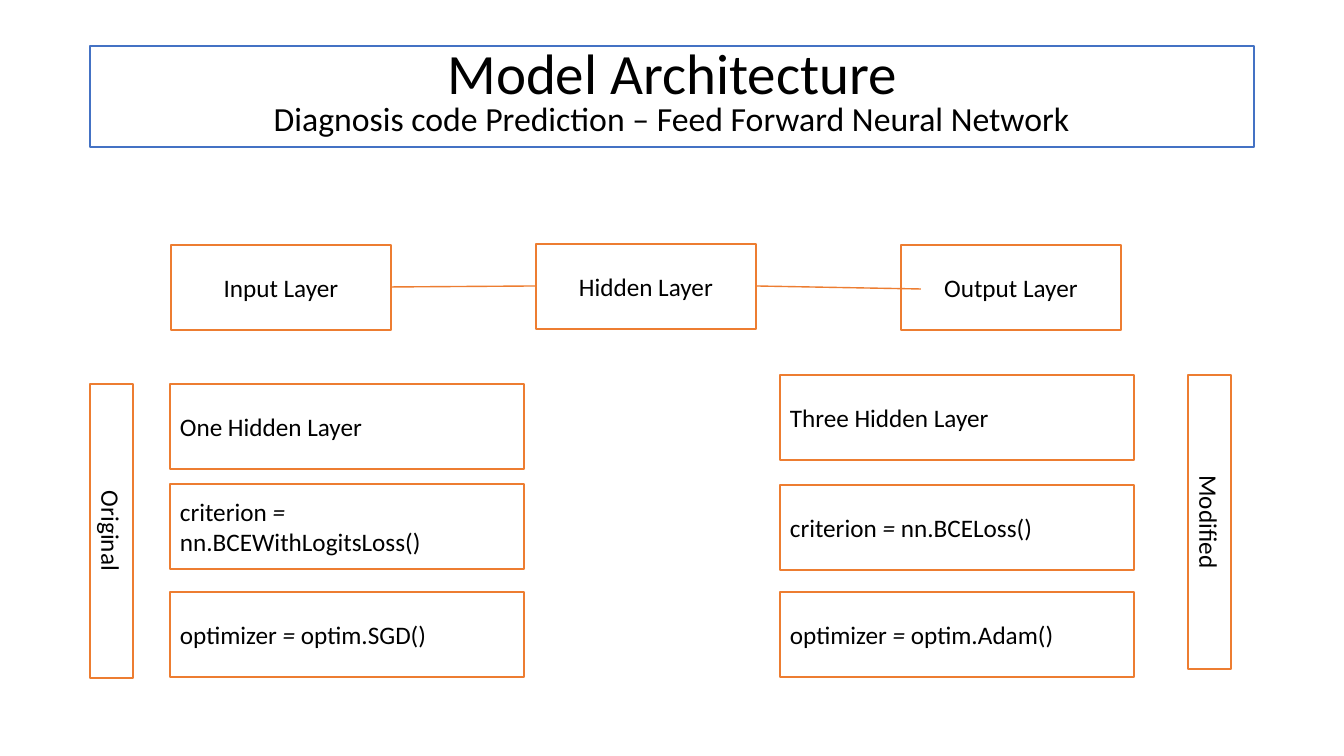
from lxml import etree
from pptx import Presentation
from pptx.dml.color import RGBColor
from pptx.enum.shapes import MSO_CONNECTOR, MSO_SHAPE
from pptx.enum.text import MSO_ANCHOR, PP_ALIGN
from pptx.oxml.ns import qn
from pptx.util import Pt

PX = 914400 / 100.8
BLUE, ORANGE = "4472C4", "ED7D31"


def color(value):
    return RGBColor.from_string(value)


def add_box(bounds, paragraphs, align=PP_ALIGN.CENTER, line=ORANGE,
            anchor=MSO_ANCHOR.MIDDLE, spacing=None):
    box = slide.shapes.add_shape(MSO_SHAPE.RECTANGLE, *[round(v * PX) for v in bounds])
    box.shadow.inherit = False
    box.fill.solid()
    box.fill.fore_color.rgb = color("FFFFFF")
    box.line.color.rgb = color(line)
    box.line.width = Pt(1)
    frame = box.text_frame
    frame.word_wrap = True
    frame.vertical_anchor = anchor
    for i, (size, texts) in enumerate(paragraphs):
        paragraph = frame.add_paragraph() if i else frame.paragraphs[0]
        paragraph.alignment = align
        paragraph.line_spacing = spacing
        for text in texts:
            run = paragraph.add_run()
            run.text = text
            run.font.name = "Calibri"
            run.font.size = Pt(size)
            run.font.italic = text == "= "
            run.font.color.rgb = color("000000")
    return box


prs = Presentation()
prs.slide_width, prs.slide_height = round(1344 * PX), round(756 * PX)
slide = prs.slides.add_slide(prs.slide_layouts[6])

add_box((90, 46, 1164, 101),
        [(40.7, ["Model Architecture"]),
         (24.1, ["Diagnosis code Prediction – Feed Forward Neural Network"])],
        line=BLUE, anchor=MSO_ANCHOR.TOP, spacing=0.8)

layers = [(171, 245, "Input Layer"), (536, 244, "Hidden Layer"), (901, 245, "Output Layer")]
for left, top, name in layers:
    add_box((left, top, 220, 85), [(18, [name])])

variants = [
    ("Original", 90, 384, 170, (384, 484, 592),
     (["One Hidden Layer"],
      ["criterion ", "= ", "nn.BCEWithLogitsLoss()"],
      ["optimizer ", "= ", "optim.SGD()"])),
    ("Modified", 1188, 375, 780, (375, 485, 592),
     (["Three Hidden Layer"],
      ["criterion ", "= ", "nn.BCELoss()"],
      ["optimizer ", "= ", "optim.Adam()"])),
]
for name, label_left, label_top, left, tops, settings in variants:
    for top, texts in zip(tops, settings):
        add_box((left, top, 354, 85), [(18, texts)], align=PP_ALIGN.LEFT)
    label = add_box((label_left, label_top, 43, 294), [(18, [name])])
    label.text_frame._txBody.bodyPr.set("vert", "vert")

for ends in [(391, 287, 536, 286), (756, 286, 921, 289)]:
    link = slide.shapes.add_connector(MSO_CONNECTOR.STRAIGHT, *[round(v * PX) for v in ends])
    link.line.color.rgb = color(ORANGE)
    link.line.width = Pt(1)
    etree.SubElement(link._element.spPr, qn("a:effectLst"))

prs.save("out.pptx")
